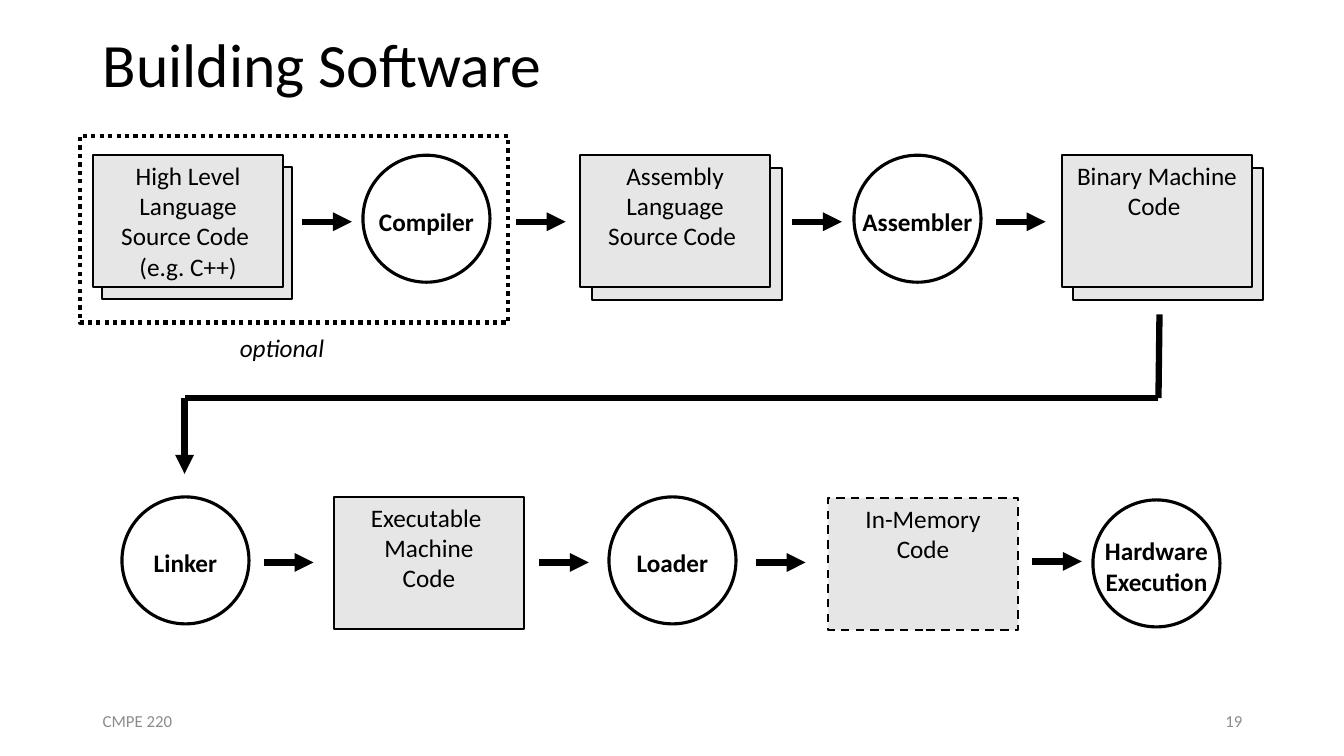
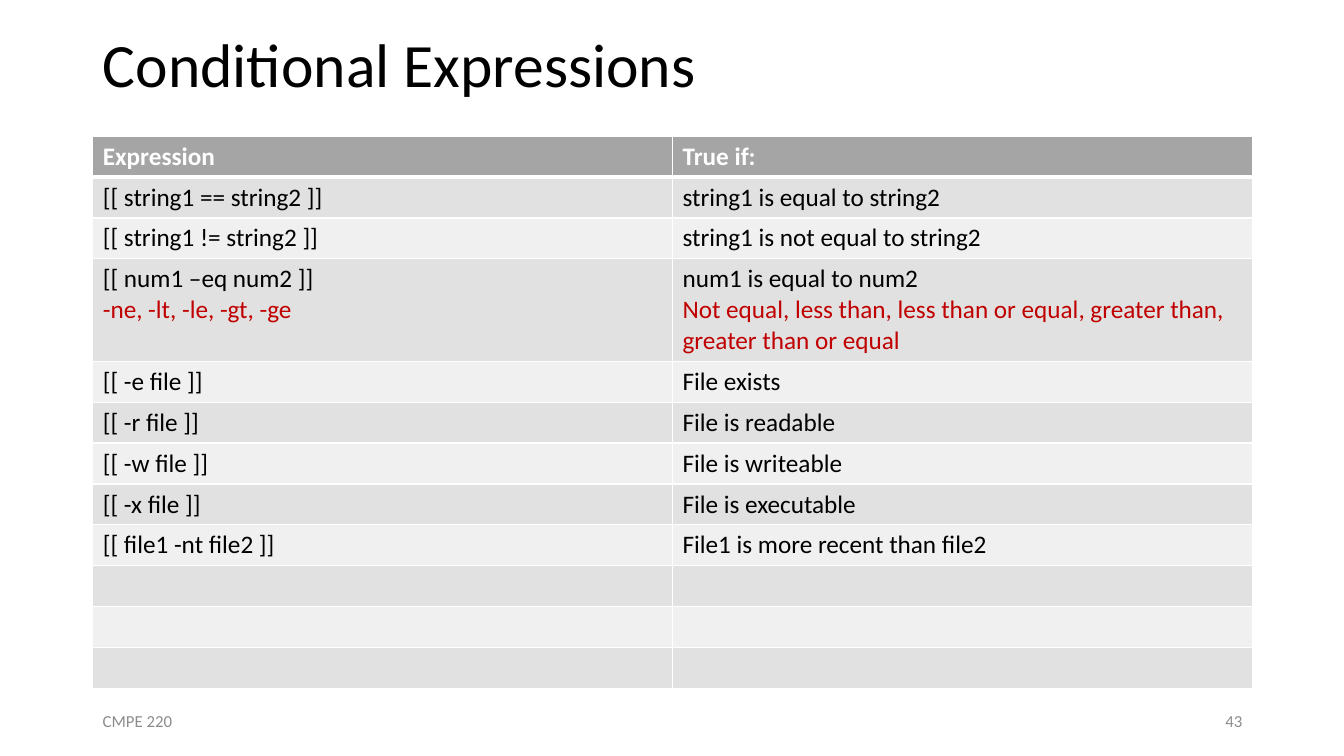
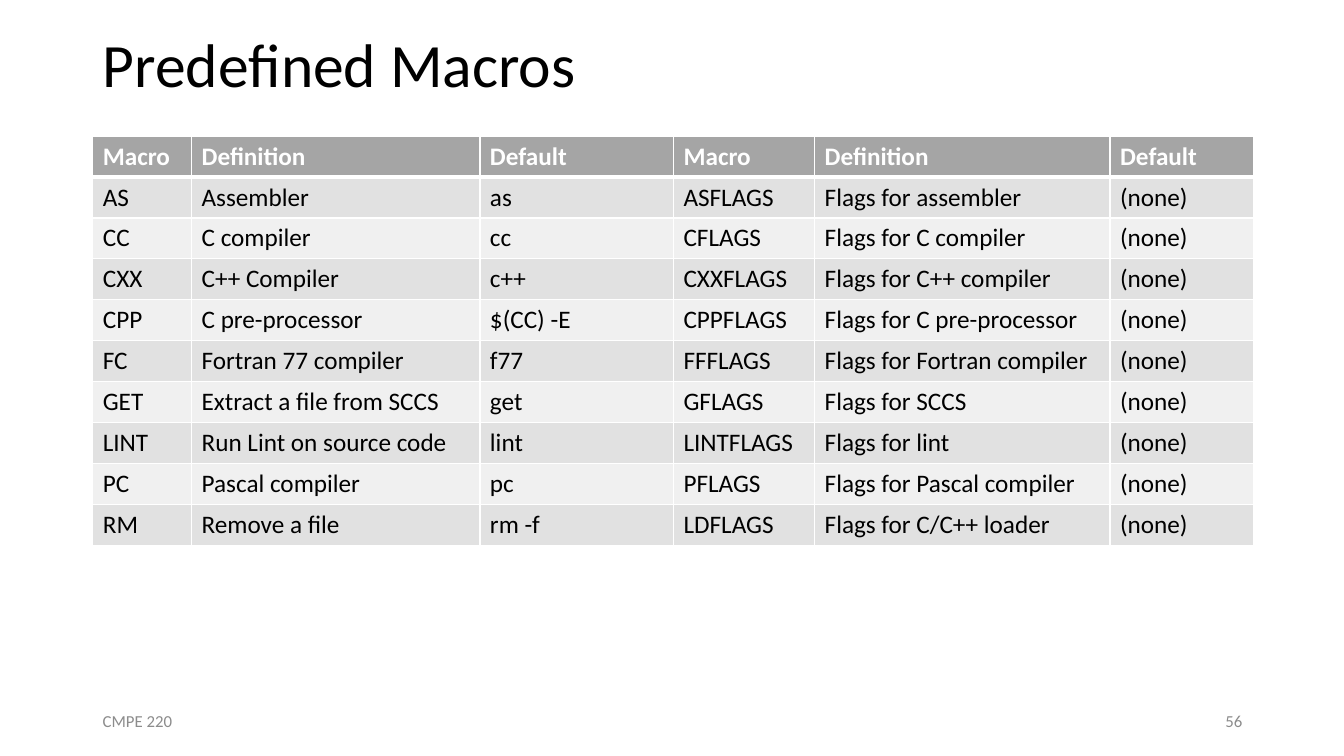
"""Builds three course slides: a software build pipeline and two reference tables."""
from lxml.etree import SubElement
from pptx import Presentation
from pptx.dml.color import RGBColor
from pptx.enum.dml import MSO_LINE
from pptx.enum.shapes import MSO_CONNECTOR, MSO_SHAPE
from pptx.enum.text import MSO_ANCHOR, MSO_AUTO_SIZE, PP_ALIGN
from pptx.oxml.ns import qn
from pptx.util import Inches, Pt

FONT = "Calibri"
COLORS = {
    "ink": "000000", "paper": "FFFFFF", "sheet": "E7E6E6", "footer": "8C8C8C",
    "header": "A5A5A5", "odd": "E1E1E1", "even": "F0F0F0", "accent": "C00000",
}
MARGIN, CONTENT_WIDTH, CONTENT_TOP = 0.92, 11.5, 1.35
FOOTER = "CMPE 220"
FOOTER_TOP, FOOTER_WIDTH, FOOTER_HEIGHT = 6.95, 3, 0.4

SHEET_WIDTH, SHEET_HEIGHT, STAGE_SIZE, ARROW_LENGTH = 1.89, 1.31, 1.26, 0.49
BACK_SHEETS = [(10.64, 1.67), (5.87, 1.67), (1.01, 1.66)]
SHEETS = [
    ("High Level Language Source Code \v(e.g. C++)", 0.92, 1.54, None),
    ("Assembly Language Source Code ", 5.75, 1.54, None),
    ("Binary Machine Code ", 10.53, 1.54, None),
    ("Executable \nMachine\vCode", 3.31, 4.93, None),
    ("In-Memory\nCode", 8.21, 4.94, MSO_LINE.DASH),
]
STAGES = [
    ("Compiler", 3.6, 1.54),
    ("Assembler", 8.47, 1.54),
    ("Linker", 1.21, 4.93),
    ("Loader", 6.04, 4.93),
    ("Hardware\vExecution", 10.84, 4.96),
]
ARROWS = [
    (2.2, [3, 5.12, 7.86, 9.88]),
    (5.58, [2.62, 5.35, 7.5]),
    (5.57, [10.24]),
]
RETURN_PATH = [(11.5, 3.12), (11.49, 3.95), (1.83, 3.95), (1.83, 4.7)]

CONDITIONS = [
    ("Expression", "True if:"),
    ("[[ string1 == string2 ]]", "string1 is equal to string2"),
    ("[[ string1 != string2 ]]", "string1 is not equal to string2"),
    ("[[ num1 –eq num2 ]]\n-ne, -lt, -le, -gt, -ge",
     "num1 is equal to num2\nNot equal, less than, less than or equal, "
     "greater than, greater than or equal"),
    ("[[ -e file ]]", "File exists"),
    ("[[ -r file ]]", "File is readable"),
    ("[[ -w file ]]", "File is writeable"),
    ("[[ -x file ]]", "File is executable"),
    ("[[ file1 -nt file2 ]]", "File1 is more recent than file2"),
] + [("", "")] * 3
MACROS = [
    ("Macro", "Definition", "Default", "Macro", "Definition", "Default"),
    ("AS", "Assembler", "as", "ASFLAGS", "Flags for assembler", "(none)"),
    ("CC", "C compiler", "cc", "CFLAGS", "Flags for C compiler", "(none)"),
    ("CXX", "C++ Compiler", "c++", "CXXFLAGS", "Flags for C++ compiler", "(none)"),
    ("CPP", "C pre-processor", "$(CC) -E", "CPPFLAGS", "Flags for C pre-processor", "(none)"),
    ("FC", "Fortran 77 compiler", "f77", "FFFLAGS", "Flags for Fortran compiler", "(none)"),
    ("GET", "Extract a file from SCCS", "get", "GFLAGS", "Flags for SCCS", "(none)"),
    ("LINT", "Run Lint on source code", "lint", "LINTFLAGS", "Flags for lint", "(none)"),
    ("PC", "Pascal compiler", "pc", "PFLAGS", "Flags for Pascal compiler", "(none)"),
    ("RM", "Remove a file", "rm -f", "LDFLAGS", "Flags for C/C++ loader", "(none)"),
]
ROW_HEIGHT = Inches(4.06) // 10


def rgb(name):
    return RGBColor.from_string(COLORS[name])


def write(frame, text, size=18, color="ink", bold=False, italic=False,
          align=PP_ALIGN.LEFT, anchor=MSO_ANCHOR.TOP, wrap=True):
    frame.text = text
    frame.word_wrap = wrap
    frame.auto_size = MSO_AUTO_SIZE.NONE
    frame.vertical_anchor = anchor
    for paragraph in frame.paragraphs:
        paragraph.alignment = align
        style_runs(paragraph, size, color, bold, italic)


def style_runs(paragraph, size=18, color="ink", bold=False, italic=False):
    for run in paragraph.runs:
        run.font.name = FONT
        run.font.size = Pt(size)
        run.font.bold = bold
        run.font.italic = italic
        run.font.color.rgb = rgb(color)


def add_label(slide, text, left, top, width, height, **style):
    label = slide.shapes.add_textbox(Inches(left), Inches(top), Inches(width), Inches(height))
    write(label.text_frame, text, **style)


def add_slide(deck, title, number):
    slide = deck.slides.add_slide(deck.slide_layouts[5])
    heading = slide.shapes.title
    heading.left, heading.top = Inches(MARGIN), Inches(0)
    heading.width, heading.height = Inches(CONTENT_WIDTH), Inches(CONTENT_TOP)
    write(heading.text_frame, title, size=44, anchor=MSO_ANCHOR.MIDDLE)
    heading.text_frame.paragraphs[0].line_spacing = 0.9
    right = MARGIN + CONTENT_WIDTH - FOOTER_WIDTH
    for text, left, align in [(FOOTER, MARGIN, PP_ALIGN.LEFT), (str(number), right, PP_ALIGN.RIGHT)]:
        add_label(slide, text, left, FOOTER_TOP, FOOTER_WIDTH, FOOTER_HEIGHT, size=12,
                  color="footer", align=align, anchor=MSO_ANCHOR.MIDDLE)
    return slide


def add_box(slide, preset, left, top, width, height, fill=None, weight=1.5, dash=None):
    box = slide.shapes.add_shape(preset, Inches(left), Inches(top), Inches(width), Inches(height))
    box.shadow.inherit = False
    if fill:
        box.fill.solid()
        box.fill.fore_color.rgb = rgb(fill)
    else:
        box.fill.background()
    box.line.color.rgb = rgb("ink")
    box.line.width = Pt(weight)
    if dash:
        box.line.dash_style = dash
    return box


def add_sheet(slide, left, top, dash=None):
    return add_box(slide, MSO_SHAPE.RECTANGLE, left, top, SHEET_WIDTH, SHEET_HEIGHT, "sheet", dash=dash)


def add_line(slide, start, end, arrow=True):
    line = slide.shapes.add_connector(MSO_CONNECTOR.STRAIGHT, *map(Inches, start + end))
    line.line.color.rgb = rgb("ink")
    line.line.width = Pt(4.5)
    if arrow:
        SubElement(line.line._get_or_add_ln(), qn("a:tailEnd"), type="triangle")
    SubElement(line._element.spPr, qn("a:effectLst"))


def add_pipeline(slide):
    for left, top in BACK_SHEETS:
        add_sheet(slide, left, top)
    for text, left, top, dash in SHEETS:
        sheet = add_sheet(slide, left, top, dash)
        write(sheet.text_frame, text, align=PP_ALIGN.CENTER)
    for text, left, top in STAGES:
        stage = add_box(slide, MSO_SHAPE.OVAL, left, top, STAGE_SIZE, STAGE_SIZE, weight=2.25)
        write(stage.text_frame, text, bold=True, align=PP_ALIGN.CENTER,
              anchor=MSO_ANCHOR.MIDDLE, wrap=False)
        stage.text_frame.margin_top, stage.text_frame.margin_bottom = Inches(0.05), 0
    for y, lefts in ARROWS:
        for left in lefts:
            add_line(slide, (left, y), (left + ARROW_LENGTH, y))
    for start, end in zip(RETURN_PATH, RETURN_PATH[1:]):
        add_line(slide, start, end, arrow=end == RETURN_PATH[-1])
    add_box(slide, MSO_SHAPE.RECTANGLE, 0.79, 1.35, 4.25, 1.85, weight=3, dash=MSO_LINE.ROUND_DOT)
    add_label(slide, "optional", 2.28, 3.25, 1.05, 0.4, italic=True, wrap=False)


def add_borders(cell, top, bottom):
    for side, weight in {"lnL": 1, "lnR": 1, "lnT": top, "lnB": bottom}.items():
        border = SubElement(cell._tc.get_or_add_tcPr(), qn(f"a:{side}"), w=str(Pt(weight)))
        fill = SubElement(border, qn("a:solidFill"))
        SubElement(fill, qn("a:srgbClr"), val=COLORS["paper"])


def add_grid(slide, rows, widths):
    table = slide.shapes.add_table(
        len(rows), len(widths), Inches(MARGIN), Inches(CONTENT_TOP),
        Inches(CONTENT_WIDTH), ROW_HEIGHT * len(rows)).table
    for column, width in zip(table.columns, widths):
        column.width = Inches(width)
    for r, texts in enumerate(rows):
        table.rows[r].height = ROW_HEIGHT
        band = "header" if r == 0 else "odd" if r % 2 else "even"
        for c, text in enumerate(texts):
            cell = table.cell(r, c)
            add_borders(cell, top=3 if r == 1 else 1, bottom=3 if r == 0 else 1)
            cell.fill.solid()
            cell.fill.fore_color.rgb = rgb(band)
            cell.text_frame.text = text
            for p, paragraph in enumerate(cell.text_frame.paragraphs):
                color = "paper" if r == 0 else "accent" if p else "ink"
                style_runs(paragraph, color=color, bold=r == 0)


def main():
    deck = Presentation()
    deck.slide_width, deck.slide_height = Inches(13.33), Inches(7.5)
    add_pipeline(add_slide(deck, "Building Software", 19))
    add_grid(add_slide(deck, "Conditional Expressions", 43), CONDITIONS, [5.75, 5.75])
    add_grid(add_slide(deck, "Predefined Macros", 56), MACROS, [0.98, 2.86, 1.92, 1.4, 2.93, 1.42])
    deck.save("out.pptx")


if __name__ == "__main__":
    main()
